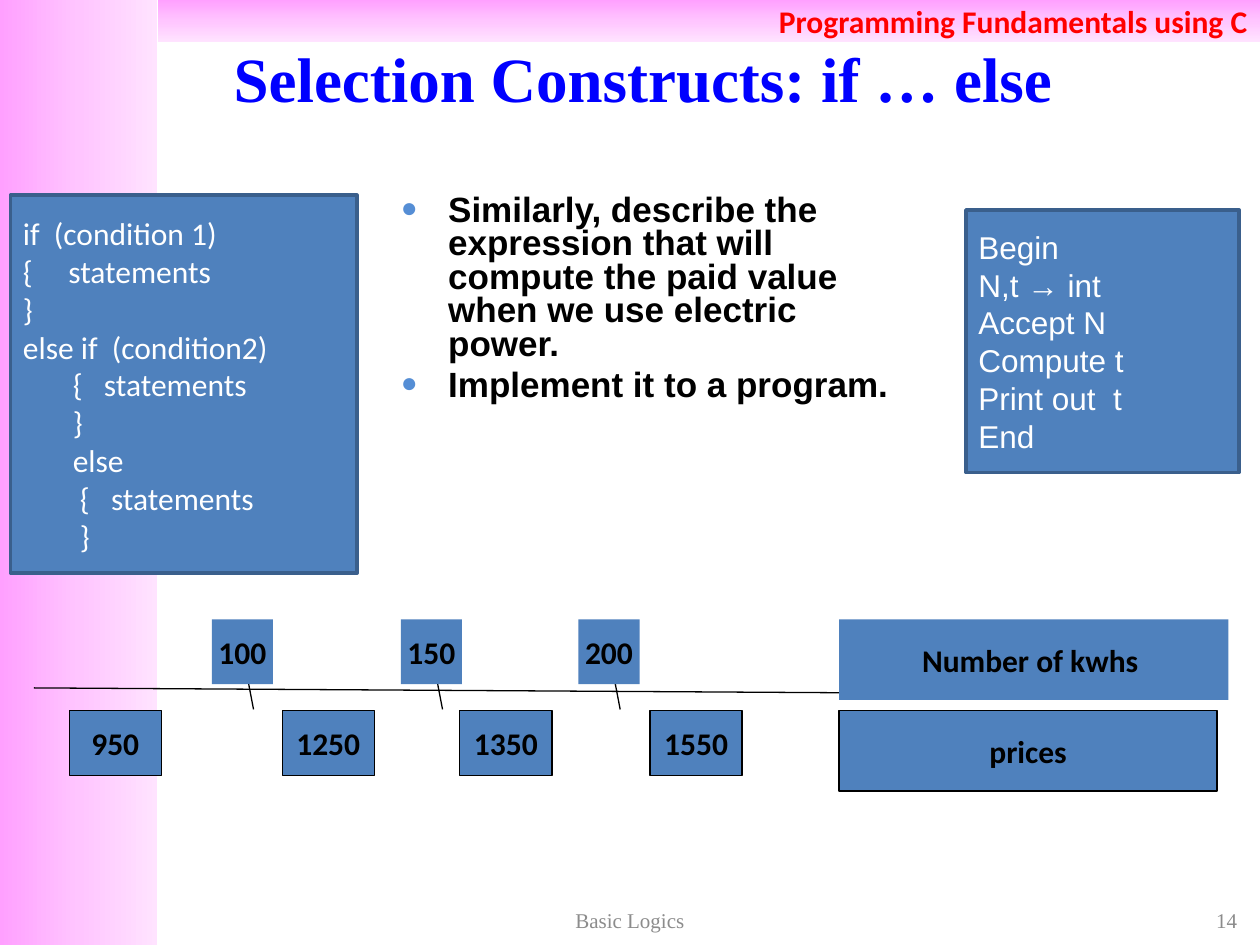
from copy import deepcopy

from lxml.etree import SubElement
from pptx import Presentation
from pptx.dml.color import RGBColor
from pptx.enum.shapes import MSO_CONNECTOR, MSO_SHAPE
from pptx.enum.text import MSO_ANCHOR, PP_ALIGN
from pptx.oxml.ns import qn
from pptx.util import Pt

COLORS = {
    "box": "4F81BD", "border": "3A5F8C", "black": "000000", "white": "FFFFFF",
    "title": "0000FF", "course": "FF0000", "bullet": "558ED5", "footer": "8C8C8C",
}
BAND_STOPS = [(0, "FFA0FF"), (0.5, "FFC5FF"), (1, "FFE3FF")]


def color(name):
    """Return the named colour."""
    return RGBColor.from_string(COLORS[name])


class SlideBuilder:
    """Holds the slide and its style, and draws elements in points."""

    def __init__(self, page):
        """Keep the slide to draw on."""
        self.page = page

    def set_text(self, shape, lines, size=18, font="Calibri", ink="black", bold=False,
                 align=PP_ALIGN.LEFT, anchor=MSO_ANCHOR.MIDDLE, wrap=True):
        """Fill a shape with formatted paragraphs."""
        frame = shape.text_frame
        frame.text = "\n".join(lines)
        frame.word_wrap = wrap
        frame.vertical_anchor = anchor
        for para in frame.paragraphs:
            para.alignment = align
            for span in para.runs:
                span.font.size = Pt(size)
                span.font.name = font
                span.font.bold = bold
                span.font.color.rgb = color(ink)

    def title(self, text, left, top, width, height):
        """Place and format the title."""
        shape = self.page.shapes.title
        shape.left, shape.top, shape.width, shape.height = map(Pt, (left, top, width, height))
        self.set_text(shape, [text], 36, "Times New Roman", "title", True, PP_ALIGN.CENTER)

    def rectangle(self, left, top, width, height, border=None, weight=0.75):
        """Draw a filled rectangle with an optional border."""
        shape = self.page.shapes.add_shape(
            MSO_SHAPE.RECTANGLE, Pt(left), Pt(top), Pt(width), Pt(height))
        shape.shadow.inherit = False
        shape.fill.solid()
        shape.fill.fore_color.rgb = color("box")
        if border:
            shape.line.color.rgb = color(border)
            shape.line.width = Pt(weight)
        else:
            shape.line.fill.background()
        return shape

    def band(self, left, top, width, height, angle):
        """Draw a rectangle with the pink gradient."""
        shape = self.rectangle(left, top, width, height)
        shape.fill.gradient()
        shape.fill.gradient_angle = angle
        stop_list = shape._element.spPr.find(qn("a:gradFill")).find(qn("a:gsLst"))
        stop_list.append(deepcopy(stop_list[-1]))
        for stop, (position, value) in zip(shape.fill.gradient_stops, BAND_STOPS):
            stop.position = position
            stop.color.rgb = RGBColor.from_string(value)
        return shape

    def code(self, box, lines, font):
        """Draw a code box from (indent, text) lines."""
        shape = self.rectangle(*box, border="border", weight=2)
        self.set_text(shape, [text for _, text in lines], font=font, ink="white")
        for para, (indent, _) in zip(shape.text_frame.paragraphs, lines):
            para._p.get_or_add_pPr().set("marL", str(Pt(indent)))

    def label(self, text, left, top, width, height, border=None):
        """Draw a rectangle with a bold centred caption."""
        shape = self.rectangle(left, top, width, height, border)
        self.set_text(shape, [text], bold=True, align=PP_ALIGN.CENTER, wrap=False)

    def line(self, start_x, start_y, end_x, end_y, arrow=False):
        """Draw a thin black line, with an arrowhead at its end if asked."""
        connector = self.page.shapes.add_connector(
            MSO_CONNECTOR.STRAIGHT, Pt(start_x), Pt(start_y), Pt(end_x), Pt(end_y))
        connector.line.color.rgb = color("black")
        connector.line.width = Pt(0.75)
        properties = connector._element.spPr
        if arrow:
            SubElement(properties.find(qn("a:ln")), qn("a:tailEnd"), type="triangle")
        SubElement(properties, qn("a:effectLst"))

    def text(self, lines, left, top, width, height, **style):
        """Add a wrapping text box."""
        shape = self.page.shapes.add_textbox(Pt(left), Pt(top), Pt(width), Pt(height))
        self.set_text(shape, lines, **style)
        return shape

    def bullets(self, lines, left, top, width, height):
        """Add a bold bulleted list."""
        shape = self.text(lines, left, top, width, height, size=20, font="Arial",
                          bold=True, anchor=MSO_ANCHOR.TOP)
        for para in shape.text_frame.paragraphs:
            para.line_spacing = 0.8
            para.space_before = Pt(4)
            properties = para._p.get_or_add_pPr()
            properties.set("marL", str(Pt(27)))
            properties.set("indent", str(-Pt(27)))
            bullet_color = SubElement(properties, qn("a:buClr"))
            SubElement(bullet_color, qn("a:srgbClr"), val=COLORS["bullet"])
            SubElement(properties, qn("a:buSzPct"), val="80000")
            SubElement(properties, qn("a:buFont"), typeface="Arial")
            SubElement(properties, qn("a:buChar"), char="●")


def draw_scale(builder):
    """Draw the consumption axis with its limits and prices."""
    builder.line(19.4, 393.1, 620.6, 396.7, arrow=True)
    limits = [("100", 121), ("150", 229), ("200", 330.5)]
    for _, left in limits:
        builder.line(left + 20.3, 386.6, left + 23.9, 405.4)
    prices = [("950", 39.6), ("1250", 161.3), ("1350", 262.8), ("1550", 371.5)]
    for text, left in prices:
        builder.label(text, left, 406, 52.6, 37, border="black")
    for text, left in limits:
        builder.label(text, left, 354, 35, 37)
    builder.label("Number of kwhs ", 479.5, 354, 222.5, 46)
    builder.label("prices", 479.5, 406, 216, 46, border="black")


def main():
    """Build and save the slide."""
    deck = Presentation()
    deck.slide_width, deck.slide_height = Pt(720), Pt(540)
    builder = SlideBuilder(deck.slides.add_slide(deck.slide_layouts[5]))

    builder.band(0, 0, 90, 540, angle=0)
    header = builder.band(90, 0, 630, 24, angle=270)
    builder.set_text(header, ["Programming Fundamentals using C"], ink="course",
                     bold=True, align=PP_ALIGN.RIGHT)
    builder.title("Selection Constructs: if … else ", 60, 21.6, 624, 45)

    builder.code((6, 111.6, 198, 216), [
        (0, "if  (condition 1)"), (0, "{     statements"), (0, "}"),
        (0, "else if  (condition2)"), (28.5, "{   statements"), (28.5, "}"),
        (28.5, "else"), (32.5, "{   statements"), (32.5, "}")], "Calibri")
    steps = ["Begin", "N,t → int", "Accept N", "Compute t", "Print out  t", "End"]
    builder.code((552, 120, 156, 150), [(0, step) for step in steps], "Arial")
    draw_scale(builder)
    builder.bullets([
        "Similarly, describe the expression that will compute the paid value "
        "when we use electric power.",
        "Implement it to a program."], 222, 108, 294, 128)

    footer = {"size": 12, "font": "Times New Roman", "ink": "footer"}
    builder.text(["14"], 546, 516, 168, 19.5, align=PP_ALIGN.RIGHT, **footer)
    builder.text(["Basic Logics"], 246, 516, 228, 19.5, align=PP_ALIGN.CENTER, **footer)
    deck.save("out.pptx")


main()
